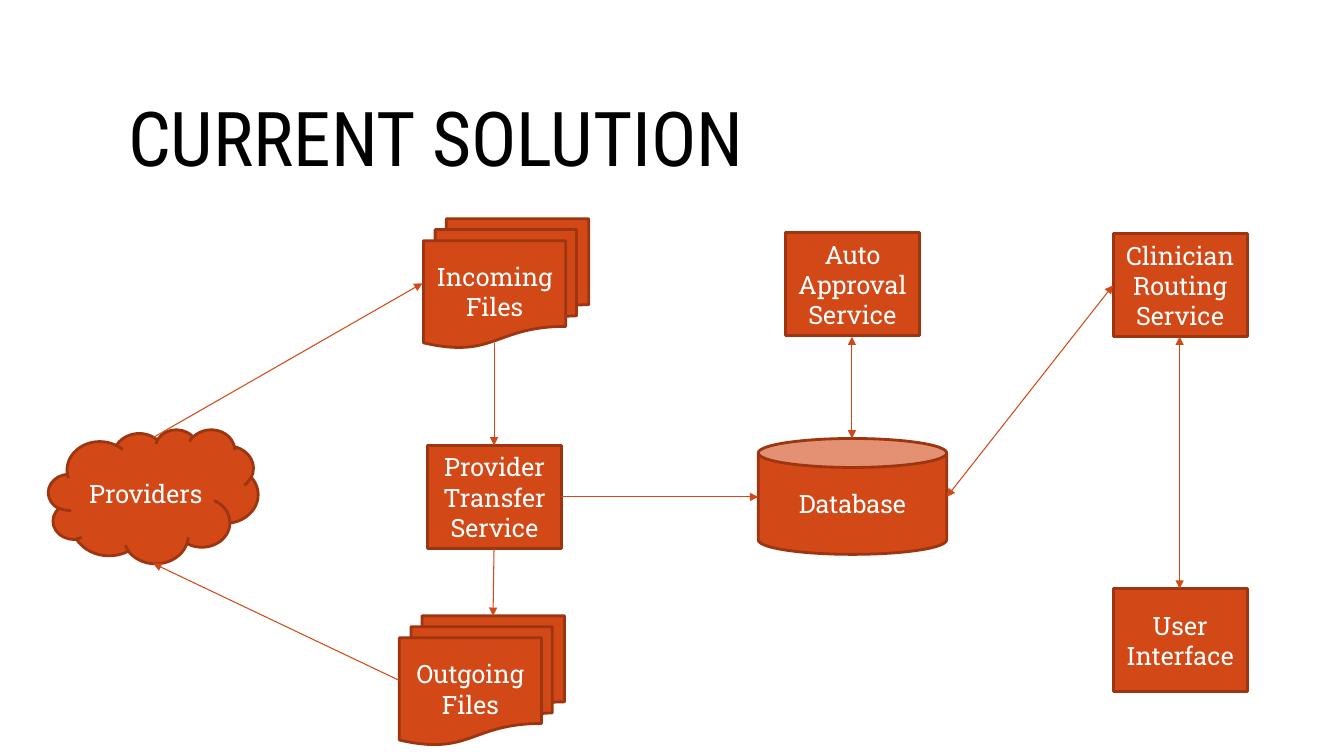
from dataclasses import dataclass

from lxml.etree import SubElement
from pptx import Presentation
from pptx.dml.color import RGBColor
from pptx.enum.shapes import MSO_CONNECTOR, MSO_SHAPE
from pptx.enum.text import MSO_ANCHOR, MSO_AUTO_SIZE, PP_ALIGN
from pptx.oxml.ns import qn
from pptx.slide import Slide
from pptx.util import Inches, Pt

COLORS = {"fill": "D34817", "border": "9C3510", "text": "FFFFFF", "title": "000000"}
TITLE_FONT = "Roboto Condensed"
BODY_FONT = "Roboto Slab"
BOX = (1.33, 1.02)
FILES = (1.64, 1.28)


@dataclass
class Node:
    lines: tuple[str, ...]
    left: float
    top: float
    size: tuple[float, float] = BOX
    kind: MSO_SHAPE = MSO_SHAPE.RECTANGLE


@dataclass
class Arrow:
    start: tuple[float, float]
    end: tuple[float, float]
    both_ways: bool = False


NODES = [
    Node(("Provider Transfer Service",), 4.24, 4.42),
    Node(("Auto Approval", "Service"), 7.79, 2.31),
    Node(("Clinician", "Routing Service"), 11.04, 2.32),
    Node(("User Interface",), 11.04, 5.84),
    Node(("Database",), 7.52, 4.35, (1.87, 1.15), MSO_SHAPE.CAN),
    Node(("Incoming Files",), 4.2, 2.17, FILES, MSO_SHAPE.FLOWCHART_MULTIDOCUMENT),
    Node(("Outgoing Files",), 3.96, 6.11, FILES, MSO_SHAPE.FLOWCHART_MULTIDOCUMENT),
    Node(("Providers",), 0.48, 4.26, (2.08, 1.33), MSO_SHAPE.CLOUD),
]

ARROWS = [
    Arrow((4.9, 3.4), (4.9, 4.42)),
    Arrow((5.56, 4.93), (7.52, 4.93)),
    Arrow((8.45, 3.34), (8.45, 4.35), True),
    Arrow((11.04, 2.83), (9.39, 4.93), True),
    Arrow((11.7, 3.34), (11.7, 5.84), True),
    Arrow((4.9, 5.44), (4.89, 6.11)),
    Arrow((1.52, 4.34), (4.19, 2.81)),
    Arrow((3.96, 6.75), (1.52, 5.59)),
]


def rgb(name: str) -> RGBColor:
    return RGBColor.from_string(COLORS[name])


def add_run(p, text: str, font: str, size: float, color: str) -> None:
    r = p.add_run()
    r.text = text
    r.font.name = font
    r.font.size = Pt(size)
    r.font.color.rgb = rgb(color)


def add_title(s: Slide, text: str) -> None:
    sp = s.shapes.title
    sp.left, sp.top, sp.width, sp.height = map(Inches, (1.17, 0.53, 11, 1.76))
    tf = sp.text_frame
    tf.word_wrap = True
    tf.auto_size = MSO_AUTO_SIZE.NONE
    tf.vertical_anchor = MSO_ANCHOR.MIDDLE
    p = tf.paragraphs[0]
    p.alignment = PP_ALIGN.LEFT
    p.line_spacing = 0.9
    add_run(p, text, TITLE_FONT, 54, "title")


def add_node(s: Slide, node: Node) -> None:
    sp = s.shapes.add_shape(node.kind, *map(Inches, (node.left, node.top, *node.size)))
    sp.shadow.inherit = False
    sp.fill.solid()
    sp.fill.fore_color.rgb = rgb("fill")
    sp.line.color.rgb = rgb("border")
    sp.line.width = Pt(2)
    tf = sp.text_frame
    tf.word_wrap = True
    tf.vertical_anchor = MSO_ANCHOR.MIDDLE
    p = tf.paragraphs[0]
    p.alignment = PP_ALIGN.CENTER
    for i, line in enumerate(node.lines):
        if i:
            p.add_line_break()
        add_run(p, line, BODY_FONT, 18, "text")


def add_arrow(s: Slide, arrow: Arrow) -> None:
    cxn = s.shapes.add_connector(
        MSO_CONNECTOR.STRAIGHT, *map(Inches, (*arrow.start, *arrow.end))
    )
    cxn.line.color.rgb = rgb("fill")
    cxn.line.width = Pt(0.75)
    ln = cxn.line._get_or_add_ln()
    for end in ("a:headEnd", "a:tailEnd") if arrow.both_ways else ("a:tailEnd",):
        SubElement(ln, qn(end), type="triangle")
    SubElement(cxn._element.spPr, qn("a:effectLst"))


def main() -> None:
    prs = Presentation()
    prs.slide_width = Inches(13.33)
    prs.slide_height = Inches(7.5)
    s = prs.slides.add_slide(prs.slide_layouts[5])
    add_title(s, "CURRENT SOLUTION")
    for node in NODES:
        add_node(s, node)
    for arrow in ARROWS:
        add_arrow(s, arrow)
    prs.save("out.pptx")


if __name__ == "__main__":
    main()
